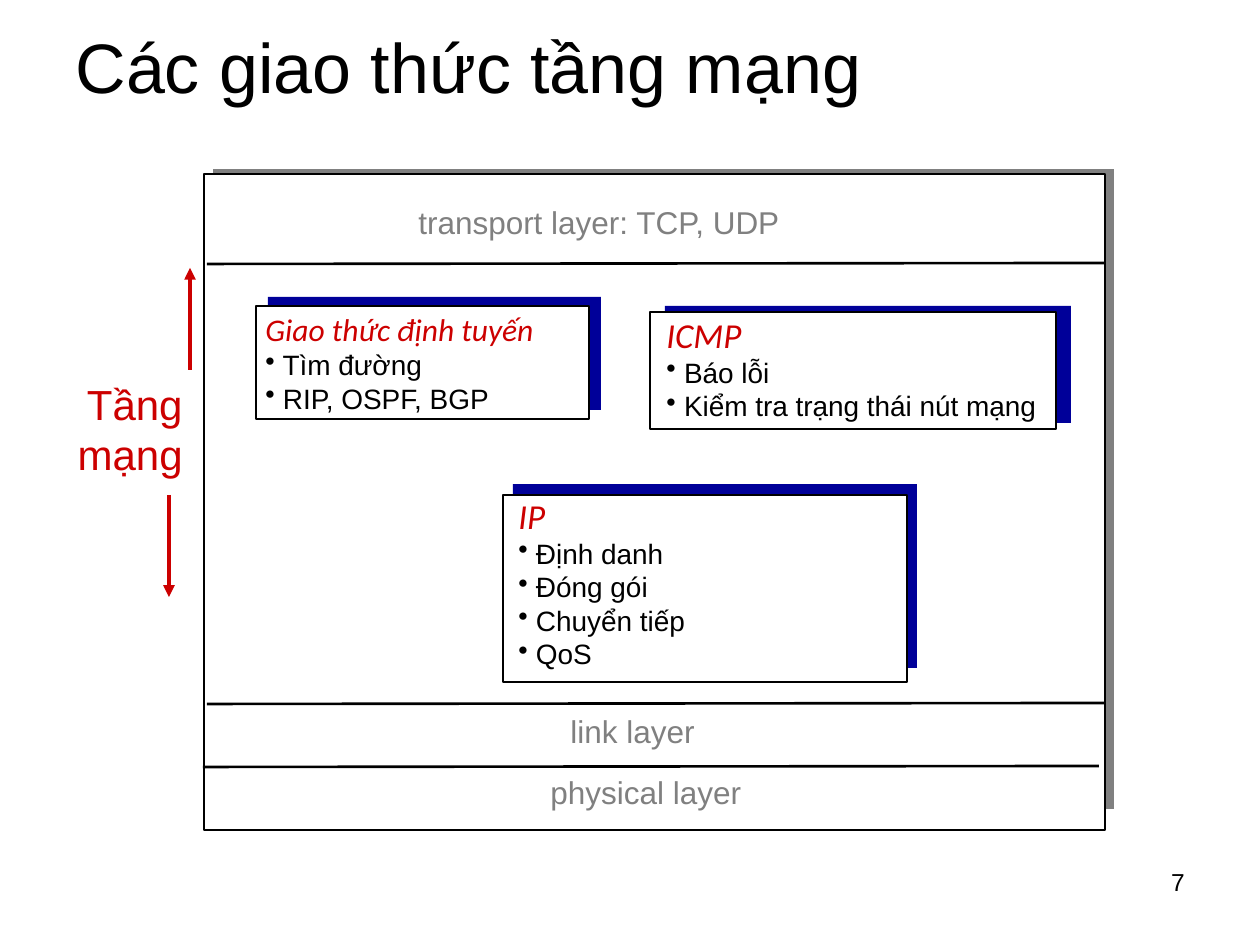
import pptx
import pptx.util
import pptx.dml.color
import pptx.enum.shapes
import pptx.enum.text
import lxml.etree

Color = pptx.dml.color.RGBColor
Align = pptx.enum.text.PP_ALIGN
BLACK = Color(0, 0, 0)
WHITE = Color(255, 255, 255)
GRAY = Color(0x80, 0x80, 0x80)
NAVY = Color(0, 0, 0x99)
RED = Color(0xCC, 0, 0)
SCALE = 914400 // 126

TITLE = "Các giao thức tầng mạng"
STACK = ((213, 169, 901, 640), (204, 174, 901, 656))
RULES = [(207, 264, 1105, 263), (207, 704, 1105, 703), (203, 767, 1099, 766)]
LAYERS = [
    ("transport layer: TCP, UDP", (406, 197, 391, 50)),
    ("link layer", (558, 706, 152, 50)),
    ("physical layer", (538, 767, 217, 50)),
]
CARDS = [
    (["Giao thức định tuyến", "Tìm đường", "RIP, OSPF, BGP"], 18,
     (268, 297, 333, 113), (256, 306, 333, 113), (253, 304, 320, 118)),
    (["IP", "Định danh", "Đóng gói", "Chuyển tiếp", "QoS"], 20,
     (513, 484, 404, 184), (503, 495, 404, 187), (506, 488, 194, 232)),
    (["ICMP", "Báo lỗi", "Kiểm tra trạng thái nút mạng"], 20,
     (665, 306, 406, 117), (650, 312, 406, 117), (654, 307, 398, 123)),
]
SIDE = (["Tầng", "mạng"], (63, 372, 132, 115))
ARROWS = [(190, 370, 190, 268), (169, 495, 169, 597)]
PAGE = ("7", (903, 861, 294, 63))


def emu(nums):
    return [n * SCALE for n in nums]


def style(para, size, color, face="Arial", slant=False):
    for run in para.runs:
        font = run.font
        font.name, font.size, font.italic = face, pptx.util.Pt(size), slant
        font.color.rgb = color


def block(slide, at, fill, edge=False):
    kind = pptx.enum.shapes.MSO_SHAPE.RECTANGLE
    shape = slide.shapes.add_shape(kind, *emu(at))
    shape.shadow.inherit = False
    shape.fill.solid()
    shape.fill.fore_color.rgb = fill
    if edge:
        shape.line.color.rgb = BLACK
        shape.line.width = pptx.util.Pt(1.5)
    else:
        shape.line.fill.background()


def pair(slide, back, front, shade):
    block(slide, back, shade)
    block(slide, front, WHITE, True)


def label(slide, lines, at, size, color, align=Align.LEFT):
    frame = slide.shapes.add_textbox(*emu(at)).text_frame
    frame.word_wrap = True
    frame.text = "\n".join(lines)
    for para in frame.paragraphs:
        para.alignment = align
        style(para, size, color)
    return frame


def card(slide, lines, size, back, front, at):
    pair(slide, back, front, NAVY)
    texts = lines[:1] + [" " + line for line in lines[1:]]
    head, *items = label(slide, texts, at, 16, BLACK).paragraphs
    style(head, size, RED, "Calibri", True)
    for para in items:
        props = para._p.get_or_add_pPr()
        props.set("marL", "0")
        props.set("indent", "0")
        mark = lxml.etree.SubElement(props, pptx.oxml.ns.qn("a:buChar"))
        mark.set("char", "•")


def line(slide, ends, color, width, arrow=False):
    kind = pptx.enum.shapes.MSO_CONNECTOR.STRAIGHT
    rule = slide.shapes.add_connector(kind, *emu(ends))
    rule.line.color.rgb = color
    rule.line.width = pptx.util.Pt(width)
    if arrow:
        tip = lxml.etree.SubElement(rule.line._get_or_add_ln(),
                                    pptx.oxml.ns.qn("a:tailEnd"))
        tip.set("type", "triangle")
    lxml.etree.SubElement(rule._element.spPr, pptx.oxml.ns.qn("a:effectLst"))


def main():
    deck = pptx.Presentation()
    deck.slide_width, deck.slide_height = emu((1260, 945))
    slide = deck.slides.add_slide(deck.slide_layouts[5])
    title = slide.shapes.title
    title.left, title.top, title.width, title.height = emu((63, 16, 1040, 110))
    title.text_frame.text = TITLE
    title.text_frame.vertical_anchor = pptx.enum.text.MSO_ANCHOR.MIDDLE
    para = title.text_frame.paragraphs[0]
    para.alignment, para.line_spacing = Align.LEFT, 0.9
    style(para, 40, BLACK)

    pair(slide, *STACK, GRAY)
    for ends in RULES:
        line(slide, ends, BLACK, 1.5)
    for item in CARDS:
        card(slide, *item)
    for text, at in LAYERS:
        label(slide, [text], at, 18, GRAY)
    label(slide, *SIDE, 24, RED, Align.RIGHT)
    for ends in ARROWS:
        line(slide, ends, RED, 2.25, True)
    label(slide, [PAGE[0]], PAGE[1], 14, BLACK, Align.RIGHT)
    deck.save("out.pptx")


if __name__ == "__main__":
    main()
